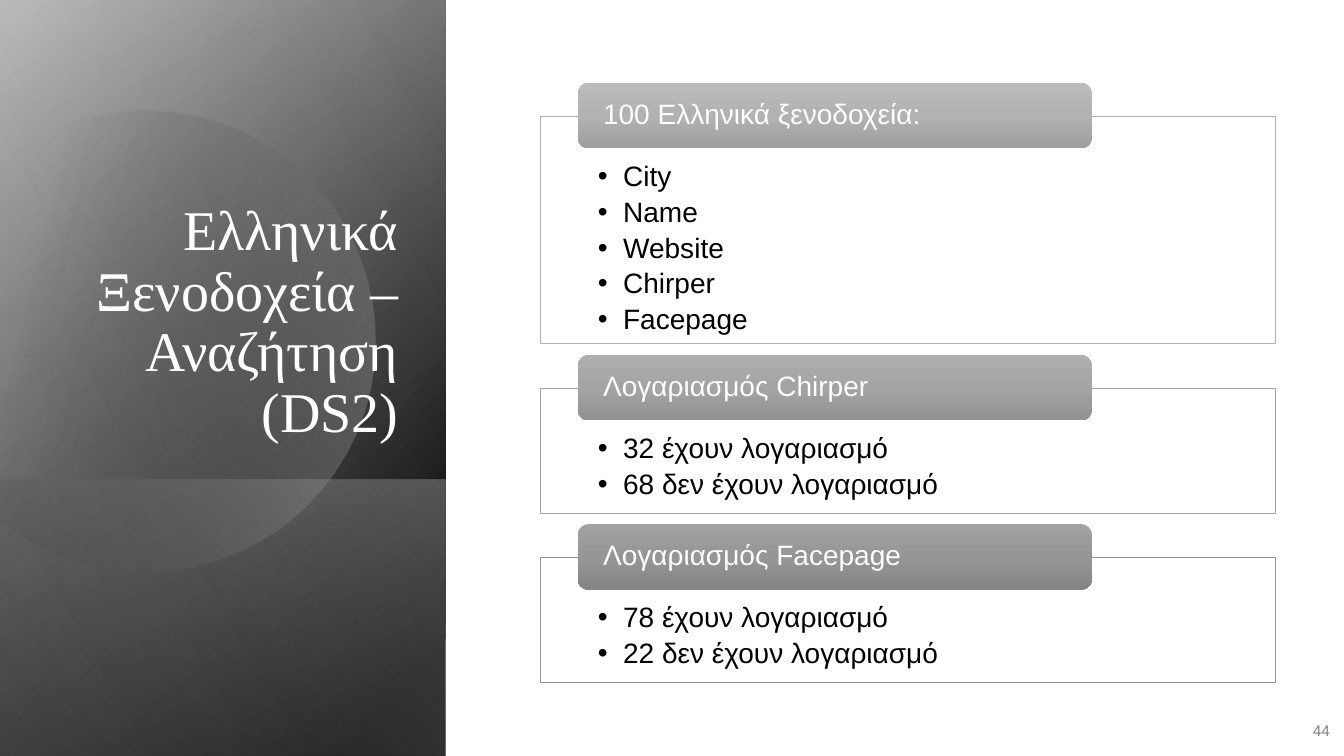
"""Build the Greek hotels search slide: dark title panel and three headed lists."""
from math import cos, radians, sin

from pptx import Presentation
from pptx.dml.color import RGBColor
from pptx.enum.shapes import MSO_SHAPE
from pptx.enum.text import MSO_ANCHOR, MSO_AUTO_SIZE, PP_ALIGN
from pptx.oxml import parse_xml
from pptx.oxml.ns import nsdecls, qn
from pptx.util import Inches, Pt

TITLE = "Ελληνικά Ξενοδοχεία – Αναζήτηση (DS2)"
PAGE = "44"
SECTIONS = [
    ("100 Ελληνικά ξενοδοχεία:", ["City", "Name", "Website", "Chirper", "Facepage"],
     ("BBBBBB", "B2B2B2", "9E9E9E")),
    ("Λογαριασμός Chirper", ["32 έχουν λογαριασμό", "68 δεν έχουν λογαριασμό"],
     ("AEAEAE", "A4A4A4", "929292")),
    ("Λογαριασμός Facepage", ["78 έχουν λογαριασμό", "22 δεν έχουν λογαριασμό"],
     ("A2A2A2", "969696", "858585")),
]

SLIDE_W, SLIDE_H, PANEL_W = 13.33, 7.5, 4.42
LOWER_H = 2.74
BASE_BANDS = [
    (SLIDE_H, [(8, "000000", 100), (100, "A6A6A6", 100)], 50),
    (SLIDE_H, [(0, "000000", 0), (99, "DDDDDD", 46)], 30),
    (LOWER_H, [(2, "DDDDDD", 29), (100, "000000", 30)], 130),
]
SHEEN_BAND = (SLIDE_H, [(0, "000000", 0), (99, "EBEBEB", 11)], 120)

DISC_STOPS = [(29, "000000", 0), (100, "DDDDDD", 43)]
DISC_CENTRE, DISC_TURN = (1.585, 3.345), 343.9
DISC_START = (1.49, 1.1)
DISC_CURVES = [
    [(2.46, 1.12), (3.35, 1.77), (3.63, 2.75)],
    [(3.98, 3.97), (3.28, 5.23), (2.07, 5.58)],
    [(1.31, 5.8), (0.53, 5.61), (-0.03, 5.14)],
    [(-0.15, 5.03), (-0.15, 1.75), (0, 1.61)],
    [(0.23, 1.42), (0.5, 1.28), (0.8, 1.19)],
    [(1.03, 1.13), (1.26, 1.1), (1.49, 1.1)],
]
DISC_EDGE = 3
CURVE_STEPS = 16

BOX_X, BOX_W, FIRST_BOX_Y = 5.36, 7.29, 1.15
BOX_PAD, ROW_H, BOX_GAP = 0.56, 0.34, 0.44
HEAD_X, HEAD_W, HEAD_H, HEAD_RISE = 5.73, 5.1, 0.65, 0.33


def color(value):
    return RGBColor.from_string(value)


def inches(*values):
    return [Inches(value) for value in values]


def place(shape, *frame):
    shape.left, shape.top, shape.width, shape.height = inches(*frame)


def gradient(shape, stops, angle):
    shape.shadow.inherit = False
    shape.line.fill.background()
    shape.fill.background()
    marks = "".join(
        f'<a:gs pos="{pos * 1000}"><a:srgbClr val="{value}">'
        f'<a:alpha val="{alpha * 1000}"/></a:srgbClr></a:gs>'
        for pos, value, alpha in stops)
    properties = shape._element.spPr
    properties.replace(properties.find(qn("a:noFill")), parse_xml(
        f'<a:gradFill {nsdecls("a")} rotWithShape="1"><a:gsLst>{marks}</a:gsLst>'
        f'<a:lin ang="{angle * 60000}" scaled="0"/></a:gradFill>'))


def write(shape, lines, size, value, font="Arial", align=PP_ALIGN.LEFT,
          anchor=MSO_ANCHOR.MIDDLE, margins=(0.1, 0.05, 0.1, 0.05), after=0, bullet=False):
    frame = shape.text_frame
    frame.text = "\n".join(lines)
    frame.word_wrap = True
    frame.auto_size = MSO_AUTO_SIZE.NONE
    frame.vertical_anchor = anchor
    (frame.margin_left, frame.margin_top,
     frame.margin_right, frame.margin_bottom) = inches(*margins)
    for paragraph in frame.paragraphs:
        paragraph.alignment = align
        paragraph.line_spacing = 0.9
        paragraph.space_before, paragraph.space_after = Pt(0), Pt(after)
        if bullet:
            properties = paragraph._p.get_or_add_pPr()
            properties.set("marL", str(Inches(0.25)))
            properties.set("indent", str(-Inches(0.25)))
            properties.append(parse_xml(f'<a:buChar {nsdecls("a")} char="•"/>'))
        for run in paragraph.runs:
            run.font.name, run.font.size, run.font.bold = font, Pt(size), False
            run.font.color.rgb = color(value)


def add_band(shapes, height, stops, angle):
    top = SLIDE_H - height
    band = shapes.add_shape(MSO_SHAPE.RECTANGLE, *inches(
        (PANEL_W - height) / 2, top + (height - PANEL_W) / 2, height, PANEL_W))
    band.rotation = 90
    band._element.spPr.find(qn("a:xfrm")).set("flipH", "1")
    gradient(band, stops, angle)


def disc_outline():
    points = [DISC_START]
    for index, curve in enumerate(DISC_CURVES):
        if index == DISC_EDGE:
            points += curve
            continue
        start = points[-1]
        for step in range(1, CURVE_STEPS + 1):
            t = step / CURVE_STEPS
            weights = ((1 - t) ** 3, 3 * t * (1 - t) ** 2, 3 * t * t * (1 - t), t ** 3)
            points.append(tuple(
                sum(weight * point[axis] for weight, point in zip(weights, [start, *curve]))
                for axis in (0, 1)))
    return points


def add_disc(shapes):
    turn = radians(-DISC_TURN)
    centre_x, centre_y = DISC_CENTRE
    outline = []
    for x, y in disc_outline():
        dx, dy = x - centre_x, y - centre_y
        outline.append(inches(centre_x + dx * cos(turn) - dy * sin(turn),
                              centre_y + dx * sin(turn) + dy * cos(turn)))
    builder = shapes.build_freeform(*outline[0])
    builder.add_line_segments(outline[1:], close=True)
    disc = builder.convert_to_shape()
    disc.rotation = DISC_TURN
    gradient(disc, DISC_STOPS, 30)


def add_section(shapes, box, top, height, heading, items, tones):
    place(box, BOX_X, top, BOX_W, height)
    box.fill.solid()
    box.fill.fore_color.rgb = color("FFFFFF")
    box.line.color.rgb = color(tones[1])
    box.line.width = Pt(0.5)
    write(box, items, 20, "000000", anchor=MSO_ANCHOR.TOP,
          margins=(0.57, 0.46, 0.57, 0.16), after=4, bullet=True)
    tab = shapes.add_shape(MSO_SHAPE.ROUNDED_RECTANGLE,
                           *inches(HEAD_X, top - HEAD_RISE, HEAD_W, HEAD_H))
    gradient(tab, [(pos, tone, 100) for pos, tone in zip((0, 50, 100), tones)], 90)
    write(tab, [heading], 20, "FFFFFF", margins=(0.22, 0, 0.22, 0))


def main():
    deck = Presentation()
    deck.slide_width, deck.slide_height = inches(SLIDE_W, SLIDE_H)
    slide = deck.slides.add_slide(deck.slide_layouts.get_by_name("Comparison"))
    shapes = slide.shapes
    title, *boxes = slide.placeholders
    for spare in boxes[len(SECTIONS):]:
        spare._element.getparent().remove(spare._element)

    for band in BASE_BANDS:
        add_band(shapes, *band)
    add_disc(shapes)
    add_band(shapes, *SHEEN_BAND)

    place(title, 0.64, 1.84, 3.41, 2.62)
    write(title, [TITLE], 40, "FFFFFF", "Times New Roman", PP_ALIGN.RIGHT, MSO_ANCHOR.BOTTOM)
    shapes._spTree.append(title._element)

    top = FIRST_BOX_Y
    for box, (heading, items, tones) in zip(boxes, SECTIONS):
        height = BOX_PAD + ROW_H * len(items)
        add_section(shapes, box, top, height, heading, items, tones)
        top += height + BOX_GAP

    page = shapes.add_textbox(*inches(12.8, 7.06, 0.49, 0.4))
    write(page, [PAGE], 11, "808080", align=PP_ALIGN.RIGHT)
    deck.save("out.pptx")


if __name__ == "__main__":
    main()
